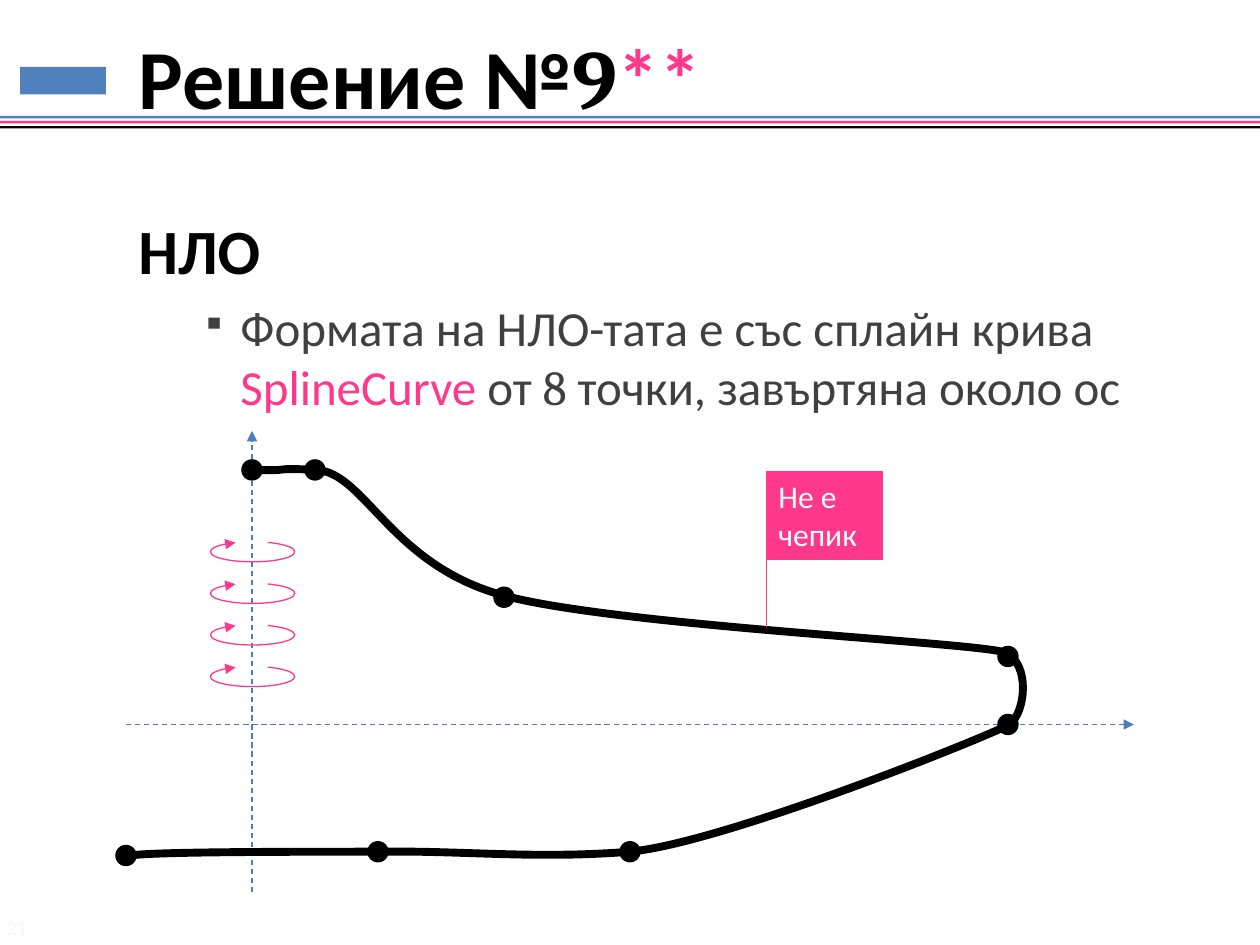
import dataclasses
import pptx
import pptx.dml.color
import pptx.enum.dml
import pptx.enum.shapes
import pptx.enum.text
import pptx.oxml
import pptx.oxml.ns
import pptx.util

SHAPE = pptx.enum.shapes.MSO_SHAPE
ANCHOR = pptx.enum.text.MSO_ANCHOR
COLUMNS, ROWS = 10, 7.5


@dataclasses.dataclass(frozen=True)
class Theme:
    """Colours, fonts and type sizes of the slide."""
    pink: str = "FF388C"
    blue: str = "4F81BD"
    axis: str = "4B7EBC"
    black: str = "000000"
    gray: str = "404040"
    white: str = "FFFFFF"
    faint: str = "F8F8F8"
    font: str = "Calibri"
    digit_font: str = "Cambria"
    title: int = 48
    heading: int = 36
    body: int = 28
    label: int = 18
    number: int = 12


@dataclasses.dataclass(frozen=True)
class Box:
    """A region measured in columns and rows of one inch."""
    left: float
    top: float
    width: float
    height: float

    def inner(self, left, top, width, height):
        """Return a box placed relative to this one."""
        return Box(self.left + left, self.top + top, width, height)

    def lengths(self):
        """Return left, top, width and height as lengths."""
        return [pptx.util.Inches(v) for v in (self.left, self.top, self.width, self.height)]


THEME = Theme()
DOTS = [(-1, 1.04), (1, 1.01), (3, 1.01), (6, 0), (6, -0.54), (2, -1.01), (0.5, -2.02), (0, -2.02)]
CURVE = [
    (0.03, -2.02),
    (0.34, -2.01), (0.13, -2.04), (0.51, -2.02),
    (0.9, -2), (1.1, -1.26), (2.01, -1.02),
    (2.92, -0.78), (5.78, -0.65), (5.98, -0.57),
    (6.18, -0.48), (6.14, -0.09), (6.01, 0),
    (5.88, 0.08), (3.75, 0.94), (3, 1.01),
    (2.25, 1.07), (1.68, 1), (1.02, 1.01),
    (0.36, 1.01), (-0.78, 1.01), (-0.96, 1.04),
]


def color(value):
    """Turn a hex string into a colour."""
    return pptx.dml.color.RGBColor.from_string(value)


def element(tag, **attributes):
    """Make a drawing element with the given attributes."""
    made = pptx.oxml.parse_xml(f"<a:{tag} {pptx.oxml.ns.nsdecls('a')}/>")
    for name, value in attributes.items():
        made.set(name, str(value))
    return made


def add_text(para, text, size, fill=THEME.black, font=THEME.font, bold=False):
    """Add one formatted span to a paragraph."""
    span = para.add_run()
    span.text = text
    span.font.size = pptx.util.Pt(size)
    span.font.name = font
    span.font.bold = bold
    span.font.color.rgb = color(fill)


def set_frame(frame, anchor=ANCHOR.TOP):
    """Wrap a text frame and return its first paragraph, aligned left."""
    frame.word_wrap = True
    frame.auto_size = pptx.enum.text.MSO_AUTO_SIZE.NONE
    frame.vertical_anchor = anchor
    frame.paragraphs[0].alignment = pptx.enum.text.PP_ALIGN.LEFT
    return frame.paragraphs[0]


def set_indent(para, margin, indent=0):
    """Set the left margin and first-line indent of a paragraph."""
    properties = para._p.get_or_add_pPr()
    properties.set("marL", str(pptx.util.Inches(margin)))
    properties.set("indent", str(pptx.util.Inches(indent)))
    return properties


def set_line(line, stroke, width, dashed=False, arrow=False):
    """Format an outline, with an optional dash and arrowhead."""
    line.color.rgb = color(stroke)
    line.width = pptx.util.Pt(width)
    if dashed:
        line.dash_style = pptx.enum.dml.MSO_LINE.DASH
    if arrow:
        line._get_or_add_ln().append(element("tailEnd", type="triangle"))


def add_shape(page, kind, box, fill=None):
    """Add a preset shape without shadow or outline."""
    shape = page.shapes.add_shape(kind, *box.lengths())
    shape.shadow.inherit = False
    shape.line.fill.background()
    if fill:
        shape.fill.solid()
        shape.fill.fore_color.rgb = color(fill)
    else:
        shape.fill.background()
    return shape


def add_line(page, start, end, stroke, width, **style):
    """Add a straight connector between two grid points."""
    ends = [pptx.util.Inches(v) for v in (*start, *end)]
    line = page.shapes.add_connector(pptx.enum.shapes.MSO_CONNECTOR.STRAIGHT, *ends)
    line._element.spPr.append(element("effectLst"))
    set_line(line.line, stroke, width, **style)


def add_header(page, box):
    """Place the title, a plain mark and three stripes."""
    add_shape(page, SHAPE.RECTANGLE, box.inner(0.16, 0.28, 0.68, 0.22), THEME.blue)
    for row, fill in enumerate((THEME.blue, THEME.pink, THEME.black)):
        add_shape(page, SHAPE.RECTANGLE, box.inner(0, 0.67 + 0.04 * row, box.width, 0.02), fill)
    title = page.shapes.title
    title.left, title.top, title.width, title.height = box.inner(0, 0, box.width, 0.71).lengths()
    para = set_frame(title.text_frame, ANCHOR.MIDDLE)
    set_indent(para, 1)
    add_text(para, "Решение №", THEME.title, bold=True)
    add_text(para, "9", THEME.title, font=THEME.digit_font, bold=True)
    add_text(para, "**", THEME.title, fill=THEME.pink, bold=True)


def add_body(page, box):
    """Place the heading and its bulleted explanation."""
    frame = page.shapes.add_textbox(*box.lengths()).text_frame
    heading = set_frame(frame)
    heading.line_spacing = 1.5
    add_text(heading, "НЛО", THEME.heading, bold=True)
    para = frame.add_paragraph()
    para.space_before = pptx.util.Pt(6)
    properties = set_indent(para, 0.81, -0.31)
    tint = element("buClr")
    tint.append(element("srgbClr", val=THEME.gray))
    properties.extend([tint, element("buSzPct", val=70000), element("buChar", char="▪")])
    for text, fill, font in (
        ("Формата на НЛО-тата е със сплайн крива ", THEME.gray, THEME.font),
        ("SplineCurve", THEME.pink, THEME.font),
        (" от ", THEME.gray, THEME.font),
        ("8", THEME.gray, THEME.digit_font),
        (" точки, завъртяна около ос", THEME.gray, THEME.font),
    ):
        add_text(para, text, THEME.body, fill=fill, font=font)


def add_curve(page, origin):
    """Draw the spline profile as one smooth outline."""
    unit = 100
    points = [(round((origin.left + x) * unit), round((origin.top + y) * unit)) for x, y in CURVE]
    builder = page.shapes.build_freeform(*points[0], scale=pptx.util.Inches(1) / unit)
    builder.add_line_segments(points[1:], close=False)
    curve = builder.convert_to_shape()
    curve.shadow.inherit = False
    curve.fill.background()
    set_line(curve.line, THEME.black, 4.5)
    steps = curve._element.findall(".//" + pptx.oxml.ns.qn("a:lnTo"))
    outline = steps[0].getparent()
    for first in range(0, len(steps), 3):
        bezier = element("cubicBezTo")
        for step in steps[first:first + 3]:
            bezier.append(step[0])
            outline.remove(step)
        outline.append(bezier)


def add_flag(page, box):
    """Place a labelled flag on its pole."""
    flag = add_shape(page, SHAPE.RECTANGLE, box.inner(0, 0, box.width, 0.7), THEME.pink)
    set_line(flag.line, THEME.pink, 0.25)
    add_text(set_frame(flag.text_frame), "Не е чепик", THEME.label, fill=THEME.white)
    add_line(page, (box.left, box.top), (box.left, box.top + box.height), THEME.pink, 0.25)


def add_diagram(page, box):
    """Place the axes, spline points, curve, turning arrows and flag."""
    origin = box.inner(1, 2.33, 0, 0)
    right, bottom = box.left + box.width, box.top + box.height
    for start, end in (
        ((box.left, origin.top), (right, origin.top)),
        ((origin.left, bottom), (origin.left, box.top)),
    ):
        add_line(page, start, end, THEME.axis, 0.75, dashed=True, arrow=True)
    size = 0.17
    for x, y in DOTS:
        add_shape(page, SHAPE.OVAL, origin.inner(x - size / 2, y - size / 2, size, size), THEME.black)
    add_curve(page, origin)
    for turn in range(4):
        arc = add_shape(page, SHAPE.ARC, origin.inner(-0.33, -0.46 - 0.33 * turn, 0.67, 0.16))
        arc.adjustments[0], arc.adjustments[1] = 197, 125.07
        set_line(arc.line, THEME.pink, 0.75, arrow=True)
    add_flag(page, origin.inner(4.08, -2.01, 0.92, 1.24))


def add_number(page, box):
    """Place the faint slide number."""
    frame = page.shapes.add_textbox(*box.lengths()).text_frame
    para = set_frame(frame, ANCHOR.MIDDLE)
    frame.margin_left = frame.margin_right = 0
    add_text(para, "21", THEME.number, fill=THEME.faint)


def main():
    """Build and save the slide."""
    deck = pptx.Presentation()
    deck.slide_width, deck.slide_height = pptx.util.Inches(COLUMNS), pptx.util.Inches(ROWS)
    page = deck.slides.add_slide(deck.slide_layouts[5])
    add_header(page, Box(0, 0.25, COLUMNS, 0.77))
    add_body(page, Box(1, 1.33, 8.92, 6.08))
    add_diagram(page, Box(1, 3.42, 8, 3.66))
    add_number(page, Box(0.05, 7.22, 0.5, 0.28))
    deck.save("out.pptx")


if __name__ == "__main__":
    main()
